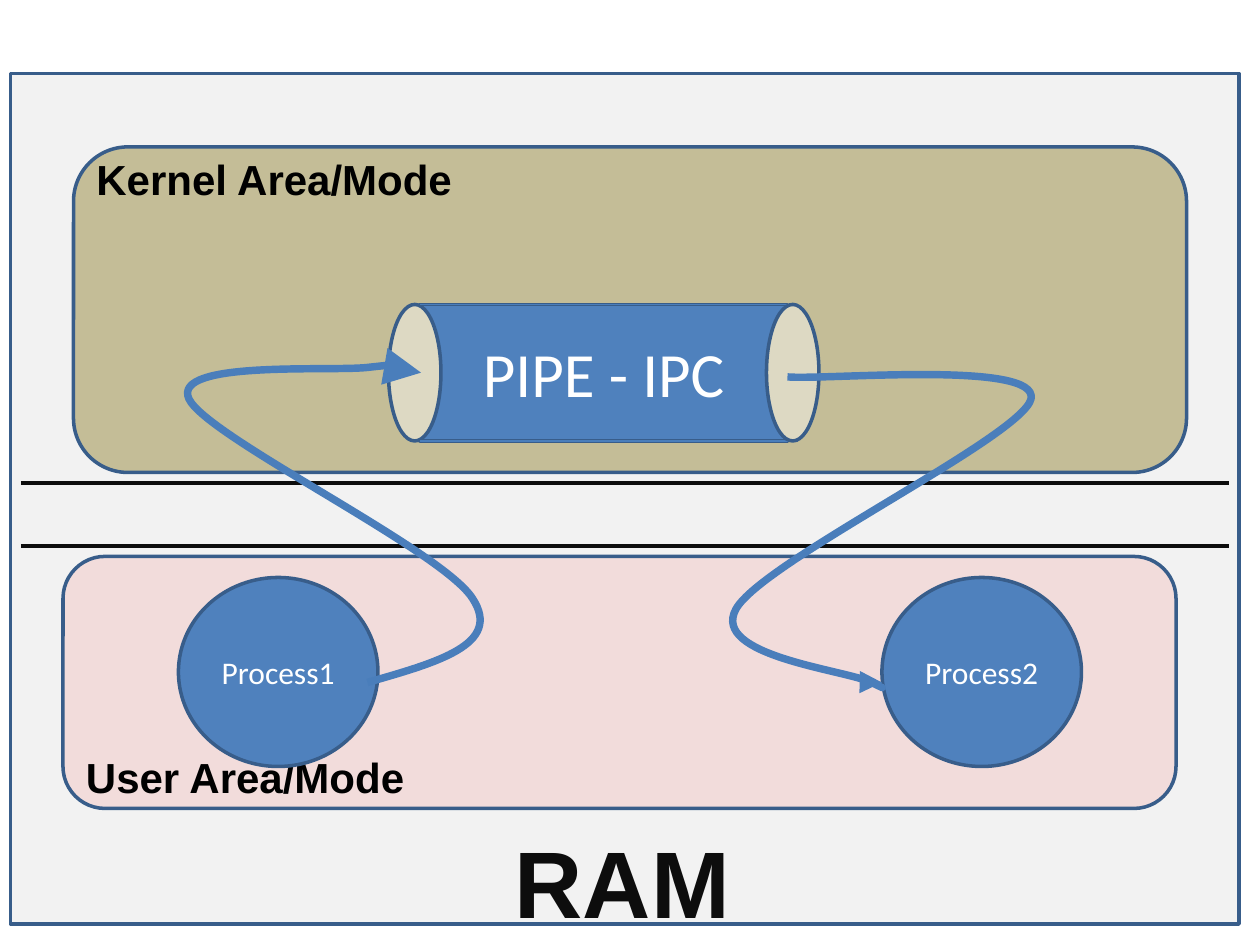
from itertools import chain

from lxml import etree
from pptx import Presentation
from pptx.dml.color import RGBColor as RGB
from pptx.enum.shapes import MSO_CONNECTOR as LINK, MSO_SHAPE as SHAPE
from pptx.enum.text import (
    MSO_ANCHOR as ANCHOR, MSO_AUTO_SIZE as FIT, PP_ALIGN as ALIGN)
from pptx.oxml.ns import qn
from pptx.util import Pt

PX = 7620  # EMU per px, 120 px to the inch

WHITE = RGB(0xFF, 0xFF, 0xFF)
BLACK = RGB(0, 0, 0)
INK = RGB(0x0D, 0x0D, 0x0D)
GREY = RGB(0xF2, 0xF2, 0xF2)
KHAKI = RGB(0xC4, 0xBD, 0x97)
SAND = RGB(0xDD, 0xD9, 0xC3)
PINK = RGB(0xF2, 0xDC, 0xDB)
BLUE = RGB(0x4F, 0x81, 0xBD)
EDGE = RGB(0x38, 0x5D, 0x8A)
FLOW = RGB(0x4A, 0x7E, 0xBB)


def emu(*sizes):
    return [size * PX for size in sizes]


def write(shape, text, size, font="Calibri", color=WHITE, bold=False,
          align=ALIGN.CENTER, anchor=ANCHOR.MIDDLE, wrap=True, fit=FIT.NONE):
    frame = shape.text_frame
    frame.word_wrap = wrap
    frame.auto_size = fit
    frame.vertical_anchor = anchor
    para = frame.paragraphs[0]
    para.alignment = align
    run = para.add_run()
    run.text = text
    run.font.size = Pt(size)
    run.font.name = font
    run.font.bold = bold
    run.font.color.rgb = color


def add_box(shapes, kind, box, fill):
    shape = shapes.add_shape(kind, *emu(*box))
    shape.shadow.inherit = False
    shape.fill.solid()
    shape.fill.fore_color.rgb = fill
    shape.line.color.rgb = EDGE
    shape.line.width = Pt(2)
    return shape


def add_label(shapes, text, box, size=24, color=BLACK, **form):
    label = shapes.add_textbox(*emu(*box))
    write(label, text, size, font="Arial", color=color, bold=True,
          anchor=ANCHOR.TOP, fit=FIT.SHAPE_TO_FIT_TEXT, **form)


def add_rule(shapes, left, right, y, color, width):
    rule = shapes.add_connector(LINK.STRAIGHT, *emu(left, y, right, y))
    rule.line.color.rgb = color
    rule.line.width = Pt(width)
    etree.SubElement(rule.element.spPr, qn("a:effectLst"))


def add_area(shapes, text, box, fill, spot):
    group = shapes.add_group_shape().shapes
    add_box(group, SHAPE.ROUNDED_RECTANGLE, box, fill)
    add_label(group, text, spot, align=ALIGN.LEFT)


def add_pipe(shapes):
    group = shapes.add_group_shape().shapes
    top, high = 290, 130
    body = add_box(group, SHAPE.RECTANGLE, (400, top, 350, high), BLUE)
    write(body, "PIPE - IPC", 36)
    add_box(group, SHAPE.OVAL, (370, top, 50, high), SAND)
    for y in (top, top + high):
        add_rule(group, 400, 760, y, FLOW, 0.75)
    add_box(group, SHAPE.OVAL, (730, top, 50, high), SAND)


def bend(shape):
    """Turn each three straight segments into one cubic curve."""
    legs = list(shape.element.iter(qn("a:lnTo")))
    for trio in zip(legs[::3], legs[1::3], legs[2::3]):
        curve = etree.Element(qn("a:cubicBezTo"))
        trio[0].addprevious(curve)
        for leg in trio:
            curve.append(leg[0])
            leg.getparent().remove(leg)


def add_flow(shapes, start, curves, tip, size):
    """Draw a curved arrow; tip is headEnd (at start) or tailEnd."""
    pen = shapes.build_freeform(*start, scale=PX)
    pen.add_line_segments(chain.from_iterable(curves), close=False)
    flow = pen.convert_to_shape()
    bend(flow)
    flow.shadow.inherit = False
    flow.fill.background()
    flow.line.color.rgb = FLOW
    flow.line.width = Pt(4.25)
    line = flow.element.spPr.find(qn("a:ln"))
    etree.SubElement(line, qn("a:" + tip), type="triangle", w=size, len=size)


def main():
    deck = Presentation()
    deck.slide_width, deck.slide_height = emu(1200, 900)
    shapes = deck.slides.add_slide(deck.slide_layouts[6]).shapes

    add_box(shapes, SHAPE.RECTANGLE, (10, 70, 1170, 810), GREY)
    add_area(shapes, "Kernel Area/Mode", (70, 140, 1060, 310), KHAKI,
             (80, 140, 400, 60))
    add_label(shapes, "RAM", (478, 779, 229, 120), size=54, color=INK,
              wrap=False)
    add_area(shapes, "User Area/Mode", (60, 530, 1060, 240), PINK,
             (70, 710, 400, 60))
    border = shapes.add_group_shape().shapes
    for y in (520, 460):
        add_rule(border, 20, 1170, y, INK, 2.25)
    for name, left in (("Process1", 170), ("Process2", 840)):
        circle = add_box(shapes, SHAPE.OVAL, (left, 550, 190, 180), BLUE)
        write(circle, name, 18)
    add_pipe(shapes)

    add_flow(shapes, (350, 650), [
        ((416, 631), (479, 614), (450, 570)),
        ((421, 524), (197, 416), (180, 380)),
        ((163, 343), (313, 354), (350, 350)),
        ((386, 346), (392, 356), (401, 355)),
    ], "tailEnd", "lg")
    add_flow(shapes, (840, 650), [
        ((840, 650), (853, 661), (830, 650)),
        ((806, 638), (676, 625), (701, 580)),
        ((726, 535), (973, 416), (982, 380)),
        ((990, 343), (788, 362), (750, 359)),
    ], "headEnd", "med")

    deck.save("out.pptx")


if __name__ == "__main__":
    main()
